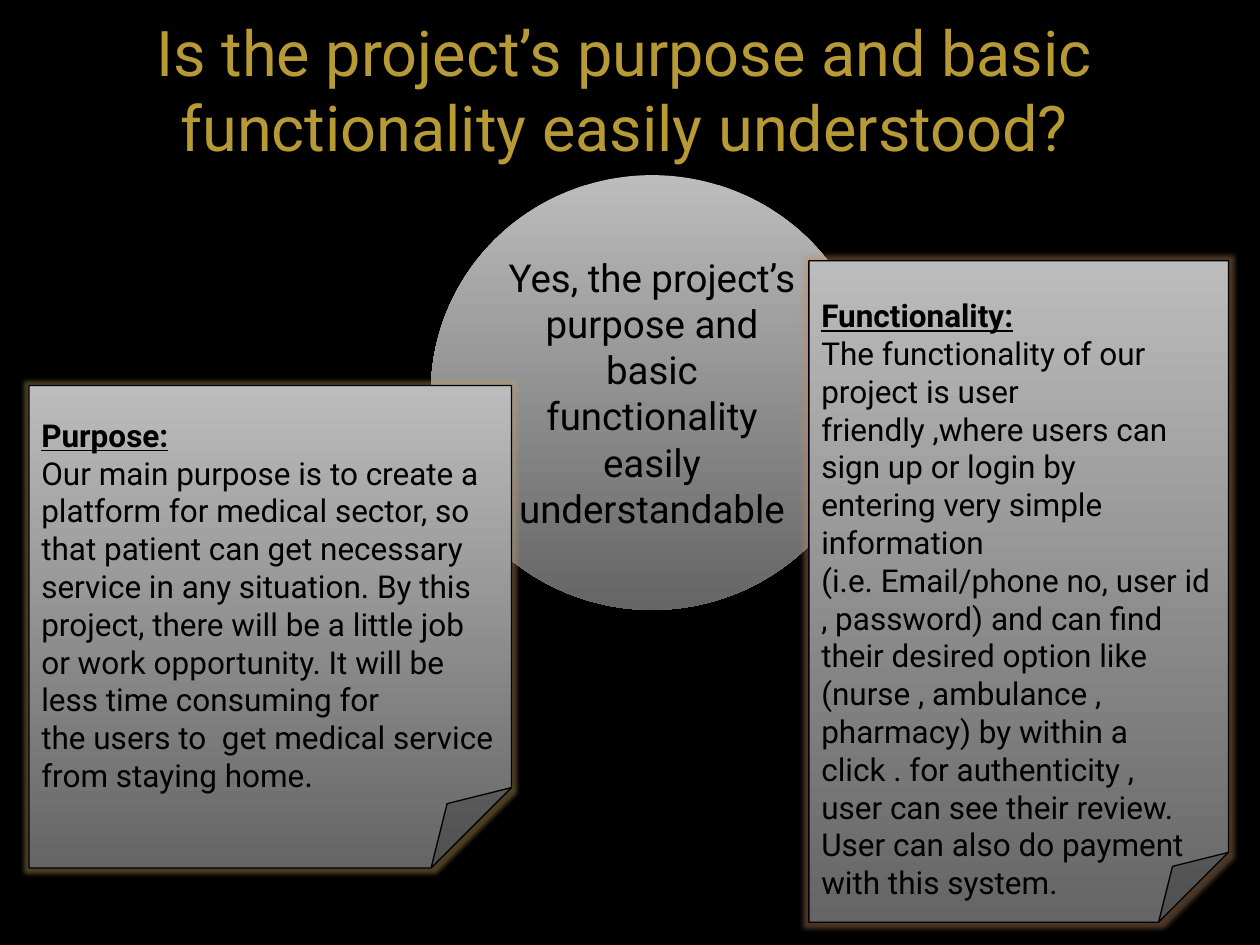
from lxml import etree
from pptx import Presentation
from pptx.dml.color import RGBColor
from pptx.enum.shapes import MSO_SHAPE
from pptx.enum.text import MSO_ANCHOR, PP_ALIGN
from pptx.oxml.ns import qn
from pptx.util import Inches, Pt

OVAL, NOTE = MSO_SHAPE.OVAL, MSO_SHAPE.FOLDED_CORNER
TOP, MIDDLE = MSO_ANCHOR.TOP, MSO_ANCHOR.MIDDLE
LEFT, CENTER = PP_ALIGN.LEFT, PP_ALIGN.CENTER

BLACK = RGBColor(0x00, 0x00, 0x00)
GOLD = RGBColor(0xB7, 0x99, 0x35)
SAND = RGBColor(0xC0, 0xA0, 0x60)
BROWN = RGBColor(0xC0, 0x8A, 0x60)
LIGHT_GREY = RGBColor(0xBC, 0xBC, 0xBC)
DARK_GREY = RGBColor(0x65, 0x65, 0x65)

# A tilde marks a non-breaking space
HARD_SPACE = chr(160)
TITLE = "Is the project’s purpose and basic functionality easily understood?"
ANSWER = "Yes, the project’s purpose and basic functionality easily understandable"
PURPOSE = (
    "Our main purpose is to~create a platform for~medical sector, so "
    "that~patient can get necessary service in any situation.~By this "
    "project, there will~be a little job or~work opportunity. It will be "
    "less~time consuming for the~users to  get medical service from "
    "staying home"
)
FUNCTIONALITY = (
    "The functionality of our project~is user friendly ,where users~can "
    "sign up or login by entering~very simple information (i.e.~"
    "Email/phone no, user id ,~password) and can find their~desired "
    "option like (nurse , ambulance , pharmacy) by within~a click . for "
    "authenticity , user~can see their review. User can also do payment "
    "with this system."
)


def add_span(para, text, size, color=BLACK, font="Roboto", heading=False):
    span = para.add_run()
    span.text = text.replace("~", HARD_SPACE)
    span.font.name = font
    span.font.size = Pt(size)
    span.font.color.rgb = color
    span.font.bold = span.font.underline = heading


def place(shape, box):
    shape.left, shape.top, shape.width, shape.height = map(Inches, box)


def add_grey_shape(page, kind, box):
    """Add a preset shape with the grey vertical gradient."""
    shape = page.shapes.add_shape(kind, *map(Inches, box))
    shape.shadow.inherit = False
    shape.fill.gradient()
    shape.fill.gradient_angle = 270
    for stop, color in zip(shape.fill.gradient_stops, (LIGHT_GREY, DARK_GREY)):
        stop.color.rgb = color
    shape.text_frame.word_wrap = True
    return shape


def add_glow(shape, color):
    effects = shape._element.spPr.find(qn("a:effectLst"))
    glow = etree.SubElement(effects, qn("a:glow"), rad=str(Pt(5)))
    tint = etree.SubElement(glow, qn("a:srgbClr"), val=str(color))
    etree.SubElement(tint, qn("a:alpha"), val="40000")


def add_title(page, box):
    title = page.shapes.title
    place(title, box)
    title.text_frame.vertical_anchor = MIDDLE
    para = title.text_frame.paragraphs[0]
    para.alignment = CENTER
    add_span(para, TITLE, 36, GOLD)


def add_answer(page, box):
    circle = add_grey_shape(page, OVAL, box)
    circle.line.fill.background()
    circle.text_frame.vertical_anchor = MIDDLE
    para = circle.text_frame.paragraphs[0]
    para.alignment = CENTER
    add_span(para, ANSWER, 22)


def add_note(page, box, inset, glow, heading, body):
    """Add a folded note; returns its body paragraph."""
    note = add_grey_shape(page, NOTE, box)
    note.line.color.rgb = BLACK
    note.line.width = Pt(0.75)
    add_glow(note, glow)
    frame = note.text_frame
    frame.vertical_anchor = TOP
    frame.margin_top = Inches(inset)
    head, para = frame.paragraphs[0], frame.add_paragraph()
    head.alignment = para.alignment = LEFT
    add_span(head, heading, 18, heading=True)
    add_span(para, body, 18)
    return para


def main():
    deck = Presentation()
    deck.slide_width, deck.slide_height = Inches(10), Inches(7.5)
    page = deck.slides.add_slide(deck.slide_layouts[5])
    page.background.fill.solid()
    page.background.fill.fore_color.rgb = BLACK

    # Question and short answer
    add_title(page, (0.04, 0.12, 9.83, 1.17))
    add_answer(page, (3.42, 1.39, 3.51, 3.45))

    # Explanatory notes
    purpose = add_note(page, (0.23, 3.06, 3.83, 3.83), 0.24, SAND,
                       "Purpose:", PURPOSE)
    add_span(purpose, ".", 18, font="Calibri")
    add_note(page, (6.42, 2.07, 3.33, 5.25), 0.28, BROWN,
             "Functionality:", FUNCTIONALITY)

    deck.save("out.pptx")


if __name__ == "__main__":
    main()
